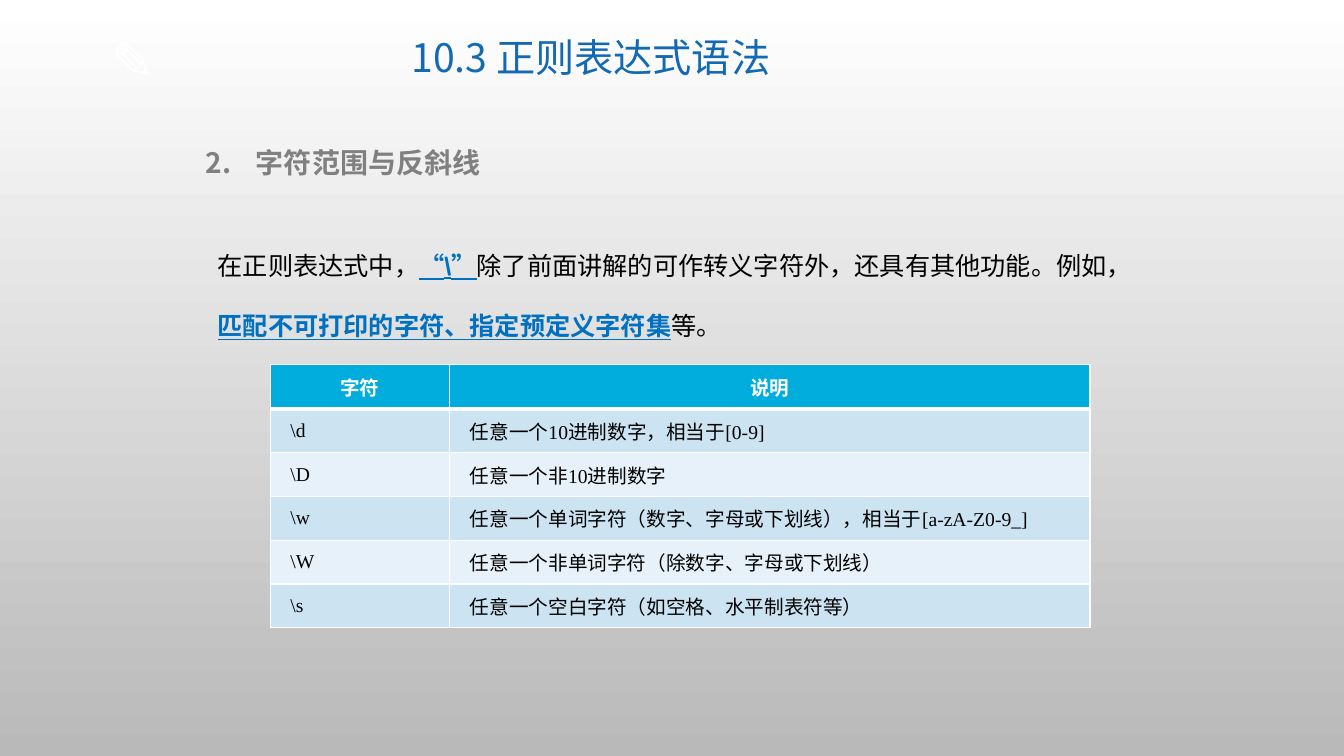
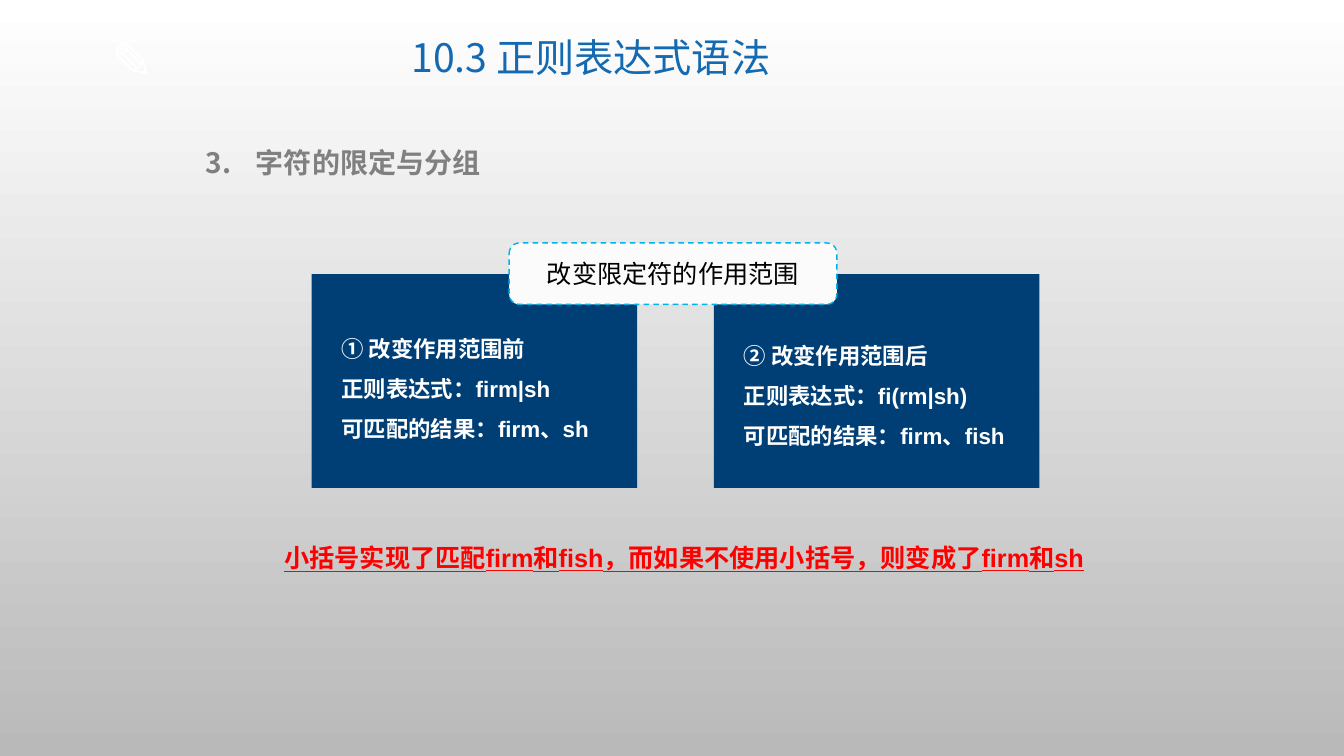
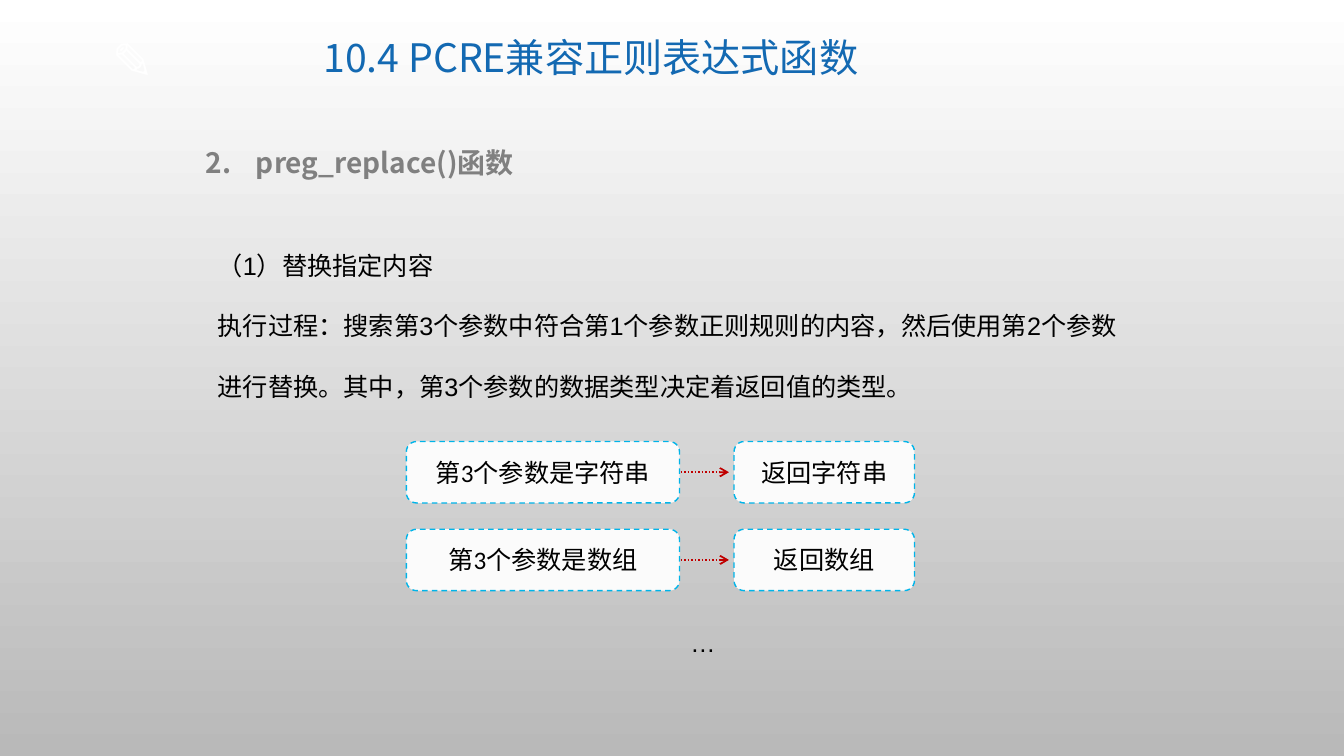
from dataclasses import dataclass

from lxml import etree
from pptx import Presentation
from pptx.dml.color import RGBColor
from pptx.enum.dml import MSO_LINE
from pptx.enum.shapes import MSO_CONNECTOR, MSO_SHAPE
from pptx.enum.text import MSO_ANCHOR, PP_ALIGN
from pptx.oxml.ns import qn
from pptx.util import Inches, Pt

LEFT, CENTER, JUSTIFY = PP_ALIGN.LEFT, PP_ALIGN.CENTER, PP_ALIGN.JUSTIFY
MIDDLE = MSO_ANCHOR.MIDDLE
RECT, ROUNDED = MSO_SHAPE.RECTANGLE, MSO_SHAPE.ROUNDED_RECTANGLE
DASH, DOT = MSO_LINE.DASH, MSO_LINE.ROUND_DOT
CJK = "Noto Sans CJK SC"


@dataclass(frozen=True)
class Style:
    size: int
    font: str
    color: str
    bold: bool = False
    underline: bool = False
    align: PP_ALIGN = LEFT
    spacing: float = 1.0


class Theme:
    background = ("FFFFFF", "B9B9B9")
    emphasis = "0070C0"
    card = "003F75"
    label_fill, label_line = "FBFBFB", "00B4E9"
    arrow = "C00000"
    header_fill, bands = "00ADDC", ("CCE3F2", "E7F1F9")
    border = "FFFFFF"

    pencil = Style(36, CJK, "FFFFFF", bold=True)
    title = Style(28, CJK, "1369B2", align=CENTER, spacing=0.9)
    heading = Style(20, CJK, "808080", bold=True)
    body = Style(18, "Arial", "000000", spacing=2.0)
    plain = Style(18, "Arial", "000000")
    card_text = Style(16, "Arial", "FFFFFF", bold=True, spacing=1.5)
    label = Style(18, "Calibri", "000000", align=CENTER)
    note = Style(18, "Arial", "FF0000", bold=True, underline=True)
    table_header = Style(14, "Calibri", "FFFFFF", bold=True, align=CENTER)
    table_cell = Style(14, "Times New Roman", "000000", align=JUSTIFY)


# A paragraph is a list of (text, emphasised) spans or a plain string.
BACKSLASH_INTRO = [[
    ("在正则表达式中，", False),
    ("“\\”", True),
    ("除了前面讲解的可作转义字符外，还具有其他功能。例如，", False),
    ("匹配不可打印的字符、指定预定义字符集", True),
    ("等。", False),
]]
CHARACTER_ROWS = [
    ("字符", "说明"),
    ("\\d", "任意一个10进制数字，相当于[0-9]"),
    ("\\D", "任意一个非10进制数字"),
    ("\\w", "任意一个单词字符（数字、字母或下划线），相当于[a-zA-Z0-9_]"),
    ("\\W", "任意一个非单词字符（除数字、字母或下划线）"),
    ("\\s", "任意一个空白字符（如空格、水平制表符等）"),
]
SCOPE_CARDS = [  # left, text top, paragraphs
    (3.09, 3.14, ["① 改变作用范围前", "正则表达式：firm|sh", "可匹配的结果：firm、sh"]),
    (7.08, 3.21, ["② 改变作用范围后", "正则表达式：fi(rm|sh)", "可匹配的结果：firm、fish"]),
]
SCOPE_NOTE = "小括号实现了匹配firm和fish，而如果不使用小括号，则变成了firm和sh"
REPLACE_INTRO = [
    "（1）替换指定内容",
    "执行过程：搜索第3个参数中符合第1个参数正则规则的内容，然后使用第2个参数进行替换。"
    "其中，第3个参数的数据类型决定着返回值的类型。",
]
RETURN_TYPES = [("第3个参数是字符串", "返回字符串"), ("第3个参数是数组", "返回数组")]


def rgb(color):
    return RGBColor.from_string(color)


def place(*lengths):
    return [Inches(length) for length in lengths]


def write(frame, paragraphs, style):
    frame.word_wrap = True
    for index, spans in enumerate(paragraphs):
        para = frame.add_paragraph() if index else frame.paragraphs[0]
        para.alignment, para.line_spacing = style.align, style.spacing
        font = para.font
        font.size, font.bold, font.underline = Pt(style.size), style.bold, style.underline
        font.color.rgb = rgb(style.color)
        font.name = style.font
        east_asian = etree.Element(qn("a:ea"), typeface=CJK)
        font._element.find(qn("a:latin")).addnext(east_asian)
        if isinstance(spans, str):
            spans = [(spans, False)]
        for text, emphasised in spans:
            run = para.add_run()
            run.text = text
            if emphasised:
                run.font.bold = run.font.underline = True
                run.font.color.rgb = rgb(Theme.emphasis)


def add_text(shapes, bounds, paragraphs, style):
    box = shapes.add_textbox(*place(*bounds))
    write(box.text_frame, paragraphs, style)
    return box


def add_block(shapes, preset, bounds, fill):
    block = shapes.add_shape(preset, *place(*bounds))
    block.shadow.inherit = False
    block.fill.solid()
    block.fill.fore_color.rgb = rgb(fill)
    block.line.fill.background()
    return block


def add_label(page, bounds, text):
    label = add_block(page.shapes, ROUNDED, bounds, Theme.label_fill)
    label.line.color.rgb = rgb(Theme.label_line)
    label.line.width, label.line.dash_style = Pt(1), DASH
    label.text_frame.vertical_anchor = MIDDLE
    write(label.text_frame, [text], Theme.label)


def add_arrow(page, start, end, y):
    arrow = page.shapes.add_connector(MSO_CONNECTOR.STRAIGHT, *place(start, y, end, y))
    arrow.line.color.rgb = rgb(Theme.arrow)
    arrow.line.width, arrow.line.dash_style = Pt(1.25), DOT
    etree.SubElement(arrow.line._get_or_add_ln(), qn("a:tailEnd"), type="arrow")
    etree.SubElement(arrow._element.spPr, qn("a:effectLst"))


def number_heading(para, number):
    properties = para._p.get_or_add_pPr()
    properties.set("marL", str(Inches(0.5)))
    properties.set("indent", str(-Inches(0.5)))
    bullet = etree.Element(qn("a:buAutoNum"), type="arabicPeriod", startAt=str(number))
    properties.find(qn("a:defRPr")).addprevious(bullet)


def add_page(deck, title, number, heading):
    page = deck.slides.add_slide(deck.slide_layouts[6])
    add_text(page.shapes, (1.01, 0.24, 0.86, 0.71), ["✎"], Theme.pencil)
    title_box = add_text(page.shapes, (2.42, 0.17, 6.88, 0.85), [title], Theme.title)
    title_box.text_frame.vertical_anchor = MIDDLE
    heading_box = add_text(page.shapes, (1.94, 1.39, 9.22, 0.44), [heading], Theme.heading)
    number_heading(heading_box.text_frame.paragraphs[0], number)
    return page


def set_borders(cell, widths):
    properties = cell._tc.get_or_add_tcPr()
    for side, width in widths.items():
        line = etree.SubElement(properties, qn(f"a:ln{side}"), w=str(Pt(width)))
        fill = etree.SubElement(line, qn("a:solidFill"))
        etree.SubElement(fill, qn("a:srgbClr"), val=Theme.border)


def add_character_table(page):
    widths, row_height = (1.78, 6.35), 0.435
    count = len(CHARACTER_ROWS)
    bounds = place(2.68, 3.62, sum(widths), row_height * count)
    table = page.shapes.add_table(count, len(widths), *bounds).table
    for column, width in zip(table.columns, widths):
        column.width = Inches(width)
    for row, texts in enumerate(CHARACTER_ROWS):
        header = row == 0
        for column, text in enumerate(texts):
            cell = table.cell(row, column)
            cell.margin_left = cell.margin_right = Inches(0.08)
            cell.margin_top = cell.margin_bottom = 0
            cell.vertical_anchor = MIDDLE
            set_borders(cell, {"L": 1, "R": 1, "T": 3 if row == 1 else 1, "B": 3 if header else 1})
            cell.fill.solid()
            cell.fill.fore_color.rgb = rgb(Theme.header_fill if header else Theme.bands[(row - 1) % 2])
            write(cell.text_frame, [text], Theme.table_header if header else Theme.table_cell)
            if not header:
                cell.text_frame.paragraphs[0]._p.pPr.set("marL", str(Inches(0.12)))


def build_backslash(deck):
    page = add_page(deck, "10.3 正则表达式语法", 2, "字符范围与反斜线")
    add_text(page.shapes, (2.06, 2.13, 9.19, 1.22), BACKSLASH_INTRO, Theme.body)
    add_character_table(page)


def build_grouping(deck):
    page = add_page(deck, "10.3 正则表达式语法", 3, "字符的限定与分组")
    for left, text_top, paragraphs in SCOPE_CARDS:
        card = page.shapes.add_group_shape()
        add_block(card.shapes, RECT, (left, 2.72, 3.23, 2.12), Theme.card)
        add_text(card.shapes, (left + 0.2, text_top, 3.03, 1.26), paragraphs, Theme.card_text)
    add_label(page, (5.05, 2.41, 3.25, 0.61), "改变限定符的作用范围")
    add_text(page.shapes, (2.72, 5.33, 8.38, 0.7), [SCOPE_NOTE], Theme.note)


def build_replace(deck):
    page = add_page(deck, "10.4 PCRE兼容正则表达式函数", 2, "preg_replace()函数")
    add_text(page.shapes, (2.06, 2.13, 9.19, 1.82), REPLACE_INTRO, Theme.body)
    height = 0.61
    for row, (argument, result) in enumerate(RETURN_TYPES):
        top = 4.38 + row * 0.87
        add_label(page, (4.03, top, 2.71, height), argument)
        add_arrow(page, 6.75, 7.23, top + height / 2)
        add_label(page, (7.28, top, 1.79, height), result)
    add_text(page.shapes, (6.75, 6.17, 0.6, 0.4), ["…"], Theme.plain)


def main():
    deck = Presentation()
    deck.slide_width, deck.slide_height = place(13.33, 7.5)
    backdrop = deck.slide_master.background.fill
    backdrop.gradient()
    backdrop.gradient_angle = 270
    for stop, color in zip(backdrop.gradient_stops, Theme.background):
        stop.color.rgb = rgb(color)
    for build in (build_backslash, build_grouping, build_replace):
        build(deck)
    deck.save("out.pptx")


if __name__ == "__main__":
    main()
